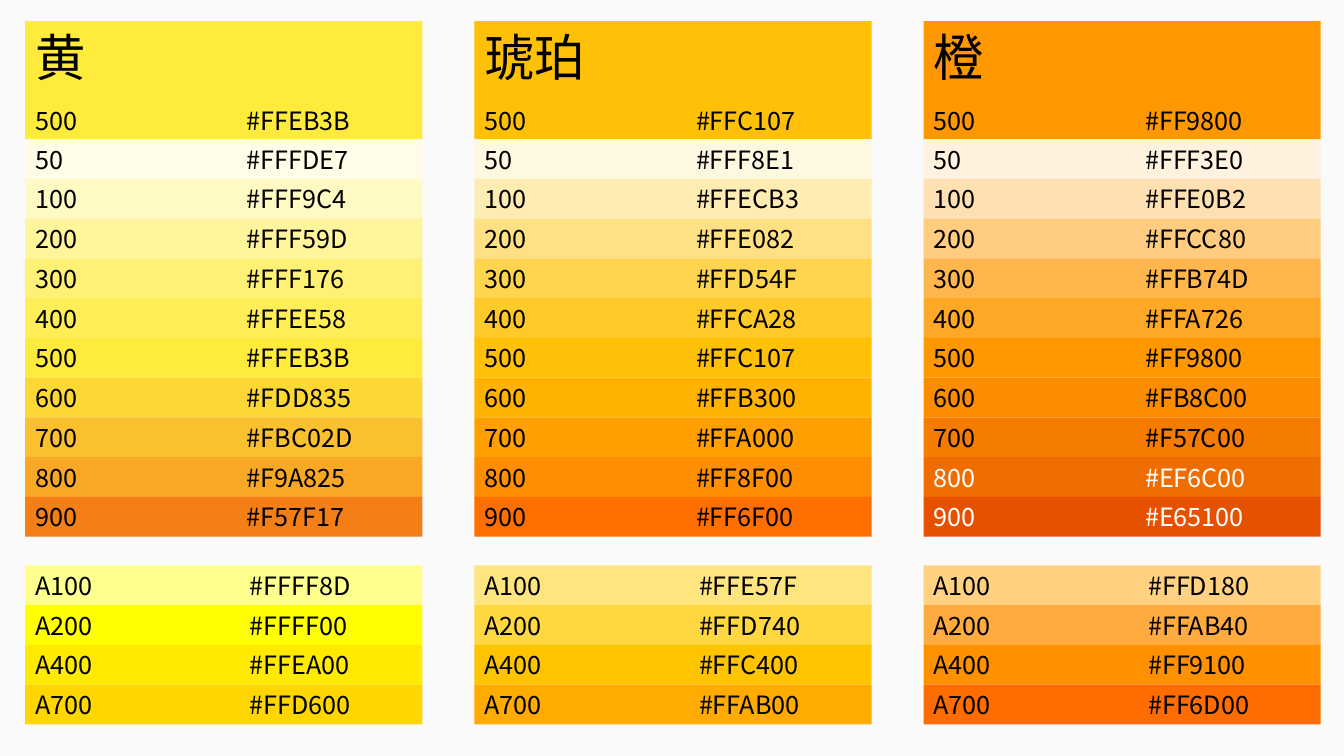
from dataclasses import dataclass

from lxml import etree
from pptx import Presentation
from pptx import util as u
from pptx.dml.color import RGBColor
from pptx.enum import shapes, text
from pptx.oxml.ns import qn

FONT = "Noto Sans CJK SC"
COLORS = {"background": "FAFAFA", "dark": "000000", "light": "FFFFFF"}
SHADES = ("50", "100", "200", "300", "400", "500", "600", "700", "800", "900")
ACCENTS = ("A100", "A200", "A400", "A700")

LEFT, HEADER_TOP, SHADES_TOP, ACCENTS_TOP = 0.25, 0.21, 1.38, 5.61
WIDTH, HEADER_HEIGHT = 3.94, 1.18
COLUMN_STEP = (9.16 - LEFT) / 2
ROW_HEIGHT = (4.93 - SHADES_TOP) / 9
SHADE_TAB, ACCENT_TAB = 2.1, 2.13


@dataclass(frozen=True)
class Palette:
    """A named colour family with its shades, accents and light-text shades."""
    name: str
    main: str
    shades: tuple[str, ...]
    accents: tuple[str, ...]
    light_text: tuple[str, ...] = ()


PALETTES = (
    Palette("黄", "FFEB3B",
            ("FFFDE7", "FFF9C4", "FFF59D", "FFF176", "FFEE58",
             "FFEB3B", "FDD835", "FBC02D", "F9A825", "F57F17"),
            ("FFFF8D", "FFFF00", "FFEA00", "FFD600")),
    Palette("琥珀", "FFC107",
            ("FFF8E1", "FFECB3", "FFE082", "FFD54F", "FFCA28",
             "FFC107", "FFB300", "FFA000", "FF8F00", "FF6F00"),
            ("FFE57F", "FFD740", "FFC400", "FFAB00")),
    Palette("橙", "FF9800",
            ("FFF3E0", "FFE0B2", "FFCC80", "FFB74D", "FFA726",
             "FF9800", "FB8C00", "F57C00", "EF6C00", "E65100"),
            ("FFD180", "FFAB40", "FF9100", "FF6D00"),
            light_text=("800", "900")),
)


def write(sp, content: str, *, size: int = 18, color: str = COLORS["dark"],
          anchor=text.MSO_ANCHOR.MIDDLE, tab: float | None = None) -> None:
    """Put left-aligned text in a shape, with an optional tab stop in inches."""
    tf = sp.text_frame
    tf.word_wrap = True
    tf.vertical_anchor = anchor
    p = tf.paragraphs[0]
    p.alignment = text.PP_ALIGN.LEFT
    if tab is not None:
        stops = etree.SubElement(p._p.get_or_add_pPr(), qn("a:tabLst"))
        etree.SubElement(stops, qn("a:tab"), pos=str(u.Inches(tab)), algn="l")
    r = p.add_run()
    r.text = content
    r.font.size = u.Pt(size)
    r.font.name = FONT
    r.font.color.rgb = RGBColor.from_string(color)
    etree.SubElement(r._r.get_or_add_rPr(), qn("a:ea"), typeface=FONT)


def add_swatch(s, label: str, fill: str, x: float, y: float,
               height: float = ROW_HEIGHT, **fmt) -> None:
    """Draw one colour bar with its label and hex code."""
    sp = s.shapes.add_shape(shapes.MSO_SHAPE.RECTANGLE, u.Inches(x), u.Inches(y),
                            u.Inches(WIDTH), u.Inches(height))
    sp.shadow.inherit = False
    sp.fill.solid()
    sp.fill.fore_color.rgb = RGBColor.from_string(fill)
    sp.line.fill.background()
    write(sp, f"{label}\t#{fill}", **fmt)


def add_palette(s, palette: Palette, x: float) -> None:
    """Draw the header, shades and accents of one palette."""
    add_swatch(s, "500", palette.main, x, HEADER_TOP, HEADER_HEIGHT,
               anchor=text.MSO_ANCHOR.BOTTOM, tab=SHADE_TAB)
    name = s.shapes.add_textbox(u.Inches(x), u.Inches(HEADER_TOP),
                                u.Inches(1.25), u.Inches(0.71))
    write(name, palette.name, size=36, anchor=text.MSO_ANCHOR.TOP)
    for labels, fills, top, tab in (
            (SHADES, palette.shades, SHADES_TOP, SHADE_TAB),
            (ACCENTS, palette.accents, ACCENTS_TOP, ACCENT_TAB)):
        for row, (label, fill) in enumerate(zip(labels, fills)):
            color = COLORS["light" if label in palette.light_text else "dark"]
            add_swatch(s, label, fill, x, top + row * ROW_HEIGHT,
                       color=color, tab=tab)


prs = Presentation()
prs.slide_width, prs.slide_height = u.Inches(13.33), u.Inches(7.5)
s = prs.slides.add_slide(prs.slide_layouts[6])
s.background.fill.solid()
s.background.fill.fore_color.rgb = RGBColor.from_string(COLORS["background"])
for column, palette in enumerate(PALETTES):
    add_palette(s, palette, LEFT + column * COLUMN_STEP)
prs.save("out.pptx")
